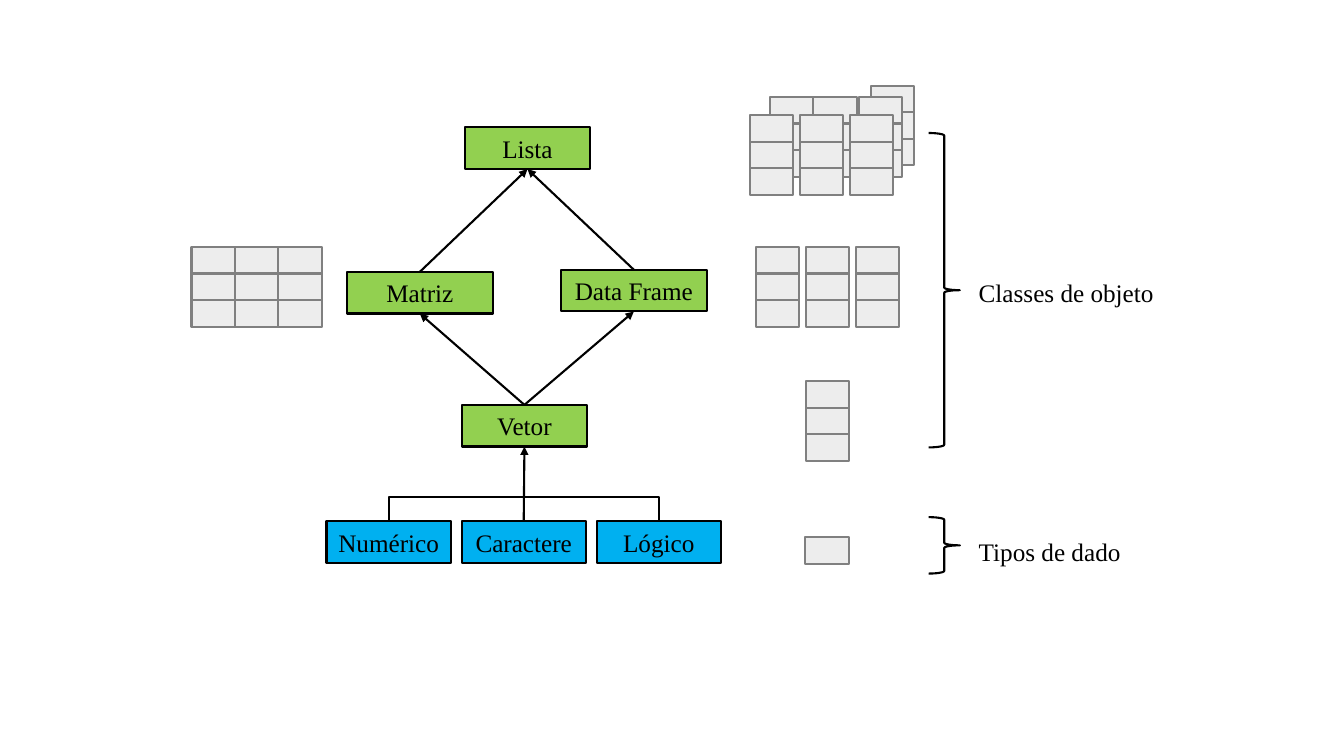
from lxml import etree
from pptx import Presentation
from pptx.dml.color import RGBColor
from pptx.enum.shapes import MSO_CONNECTOR, MSO_SHAPE
from pptx.enum.text import MSO_ANCHOR, MSO_AUTO_SIZE, PP_ALIGN
from pptx.oxml.ns import qn
from pptx.util import Pt

RECTANGLE, RIGHT_BRACE = MSO_SHAPE.RECTANGLE, MSO_SHAPE.RIGHT_BRACE
STRAIGHT, ELBOW = MSO_CONNECTOR.STRAIGHT, MSO_CONNECTOR.ELBOW
MIDDLE, CENTER = MSO_ANCHOR.MIDDLE, PP_ALIGN.CENTER
FIT_TEXT = MSO_AUTO_SIZE.SHAPE_TO_FIT_TEXT
TOP, BOTTOM = 0, 2

THEME = {
    "ink": RGBColor(0x00, 0x00, 0x00),
    "object": RGBColor(0x92, 0xD0, 0x50),
    "type": RGBColor(0x00, 0xB0, 0xF0),
    "cell": RGBColor(0xED, 0xED, 0xED),
    "cell_line": RGBColor(0x80, 0x80, 0x80),
    "font": "Times New Roman",
    "size": Pt(18),
    "line": Pt(1.5),
}


def style_line(item, color):
    item.line.color.rgb = THEME[color]
    item.line.width = THEME["line"]
    effects = item._element.spPr.find(qn("a:effectLst"))
    if effects is None:
        etree.SubElement(item._element.spPr, qn("a:effectLst"))


def write(frame, words):
    frame.text = words
    font = frame.paragraphs[0].runs[0].font
    font.name = THEME["font"]
    font.size = THEME["size"]
    font.color.rgb = THEME["ink"]


prs = Presentation()
prs.slide_width, prs.slide_height = Pt(960), Pt(540)
slide = prs.slides.add_slide(prs.slide_layouts[6])
shapes = slide.shapes

CELL_WIDTH, CELL_HEIGHT = 31, 19
columns = [
    (622, 61.2, [0], 3),
    (550, 69.2, [0, 63.4, 31], 3),
    (535.7, 82.2, [0, 71.3, 35.5], 3),
    (136.8, 176.4, [0, 62, 31], 3),
    (540, 176.4, [0, 71.3, 35.5], 3),
    (575.5, 272.2, [0], 3),
    (575.3, 383.8, [0], 1),
]
for left, top, offsets, rows in columns:
    for offset in offsets:
        for row in reversed(range(rows)):
            cell = shapes.add_shape(RECTANGLE, Pt(left + offset), Pt(top + row * CELL_HEIGHT),
                                    Pt(CELL_WIDTH), Pt(CELL_HEIGHT))
            cell.shadow.inherit = False
            cell.fill.solid()
            cell.fill.fore_color.rgb = THEME["cell"]
            style_line(cell, "cell_line")

BOX_HEIGHT = 29.8
TYPE_LEFT, TYPE_TOP, TYPE_WIDTH, TYPE_PITCH = 233.2, 372.2, 88.8, 96.5
nodes = [
    ("Numérico", TYPE_LEFT, TYPE_TOP, TYPE_WIDTH, "type"),
    ("Caractere", TYPE_LEFT + TYPE_PITCH, TYPE_TOP, TYPE_WIDTH, "type"),
    ("Lógico", TYPE_LEFT + 2 * TYPE_PITCH, TYPE_TOP, TYPE_WIDTH, "type"),
    ("Vetor", 330.2, 289.2, 88.8, "object"),
    ("Data Frame", 400.6, 192.7, 104.4, "object"),
    ("Matriz", 247.7, 194.2, 104.4, "object"),
    ("Lista", 332.4, 91, 88.8, "object"),
]
boxes = {}
for name, left, top, width, fill in nodes:
    box = shapes.add_shape(RECTANGLE, Pt(left), Pt(top), Pt(width), Pt(BOX_HEIGHT))
    box.shadow.inherit = False
    box.fill.solid()
    box.fill.fore_color.rgb = THEME[fill]
    style_line(box, "ink")
    box.text_frame.vertical_anchor = MIDDLE
    write(box.text_frame, name)
    box.text_frame.paragraphs[0].alignment = CENTER
    boxes[name] = box

RISE = 18
center_x = TYPE_LEFT + TYPE_PITCH + TYPE_WIDTH / 2
type_bracket = shapes.add_connector(ELBOW, Pt(center_x + 0.5), Pt(TYPE_TOP + TYPE_PITCH),
                                    Pt(center_x - 0.5), Pt(TYPE_TOP - TYPE_PITCH))
bracket_props = type_bracket._element.spPr
bracket_props.find(qn("a:xfrm")).set("rot", "5400000")
adjustments = bracket_props.find(qn("a:prstGeom")).find(qn("a:avLst"))
etree.SubElement(adjustments, qn("a:gd"), name="adj1", fmla=f"val {RISE * 100000}")
style_line(type_bracket, "ink")

arrows = [
    ("Caractere", "Vetor"),
    ("Vetor", "Matriz"),
    ("Vetor", "Data Frame"),
    ("Data Frame", "Lista"),
    ("Matriz", "Lista"),
]
for source, target in arrows:
    arrow = shapes.add_connector(STRAIGHT, 0, 0, 0, 0)
    arrow.begin_connect(boxes[source], TOP)
    arrow.end_connect(boxes[target], BOTTOM)
    style_line(arrow, "ink")
    etree.SubElement(arrow.line._get_or_add_ln(), qn("a:tailEnd"), type="triangle")

braces = [
    ("Tipos de dado", 379.4, 116.6, 369.4, 40.3, False),
    ("Classes de objeto", 194.4, 144.7, 95, 224.6, True),
]
for label, label_top, label_width, brace_top, brace_height, wraps in braces:
    caption = shapes.add_textbox(Pt(692), Pt(label_top), Pt(label_width), Pt(28.8))
    caption.text_frame.word_wrap = wraps
    caption.text_frame.auto_size = FIT_TEXT
    write(caption.text_frame, label)
    brace = shapes.add_shape(RIGHT_BRACE, Pt(663.3), Pt(brace_top), Pt(22.3), Pt(brace_height))
    brace.shadow.inherit = False
    brace.fill.background()
    style_line(brace, "ink")

prs.save("out.pptx")
